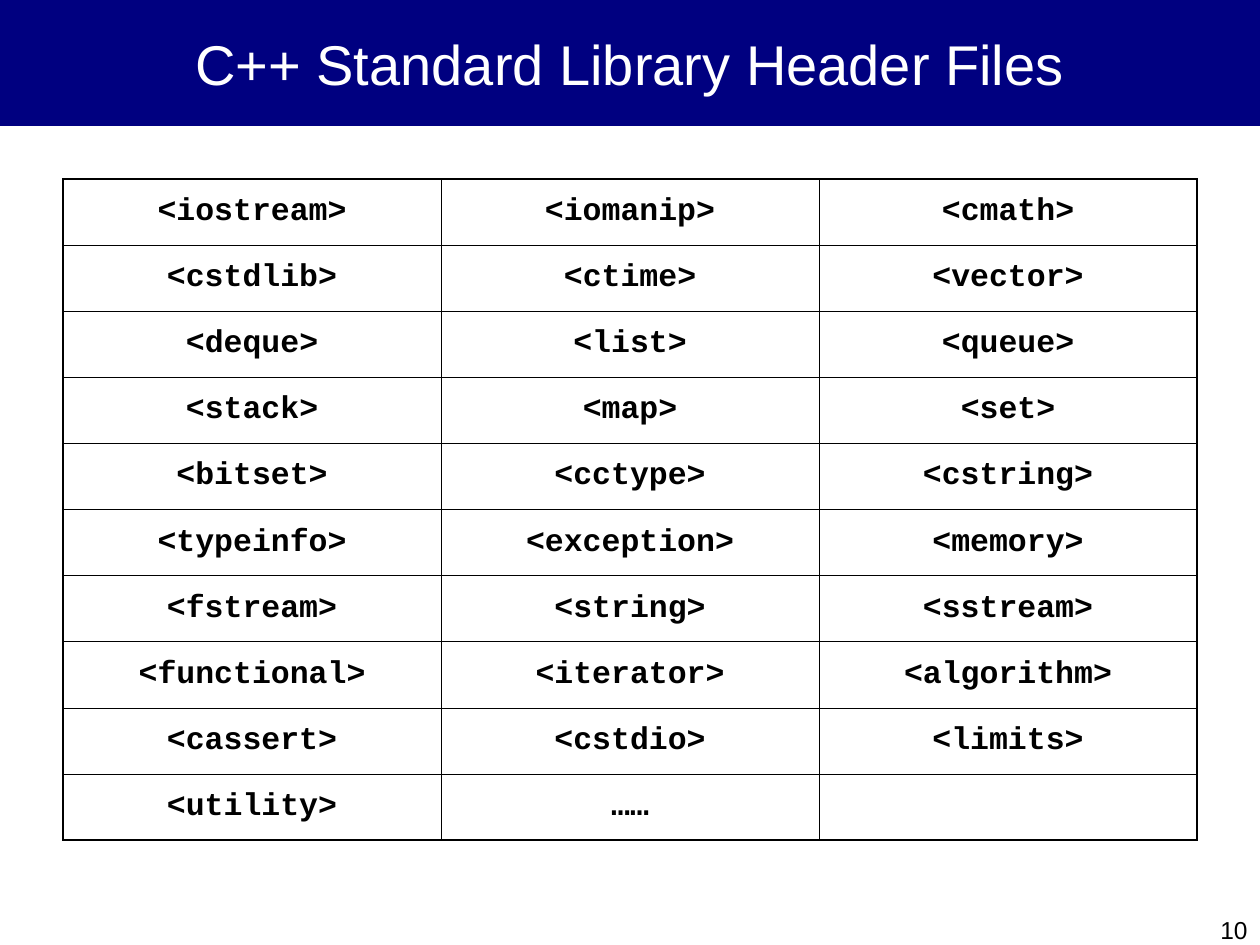
import pptx
import pptx.dml.color
import pptx.enum.text
import pptx.oxml
import pptx.oxml.ns
import pptx.util

Inches = pptx.util.Inches
Pt = pptx.util.Pt
ALIGN = pptx.enum.text.PP_ALIGN
MIDDLE = pptx.enum.text.MSO_ANCHOR.MIDDLE

BLACK, WHITE, NAVY = "000000", "FFFFFF", "000080"
THICK, THIN = 1.08, 0.45

HEADERS = [
    ["<iostream>", "<iomanip>", "<cmath>"],
    ["<cstdlib>", "<ctime>", "<vector>"],
    ["<deque>", "<list>", "<queue>"],
    ["<stack>", "<map>", "<set>"],
    ["<bitset>", "<cctype>", "<cstring>"],
    ["<typeinfo>", "<exception>", "<memory>"],
    ["<fstream>", "<string>", "<sstream>"],
    ["<functional>", "<iterator>", "<algorithm>"],
    ["<cassert>", "<cstdio>", "<limits>"],
    ["<utility>", "……", ""],
]


def color(code):
    return pptx.dml.color.RGBColor.from_string(code)


def assign(target, values):
    for name, value in values.items():
        setattr(target, name, value)


def write(frame, text, tint, align, **style):
    para = frame.paragraphs[0]
    para.alignment = align
    run = para.add_run()
    run.text = text
    assign(run.font, style)
    run.font.color.rgb = color(tint)


def add_title(slide, text):
    title = slide.shapes.title
    assign(title, {"left": 0, "top": 0, "width": Inches(10), "height": Inches(1)})
    title.fill.solid()
    title.fill.fore_color.rgb = color(NAVY)
    frame = title.text_frame
    assign(frame, {"vertical_anchor": MIDDLE, "word_wrap": True,
                   "auto_size": pptx.enum.text.MSO_AUTO_SIZE.NONE})
    write(frame, text, WHITE, ALIGN.CENTER, name="Arial", size=Pt(32))


def add_number(slide, text):
    box = slide.shapes.add_textbox(Inches(5), Inches(7.25), Inches(5), Inches(0.25))
    frame = box.text_frame
    assign(frame, {"vertical_anchor": MIDDLE, "word_wrap": True})
    write(frame, text, BLACK, ALIGN.RIGHT, name="Arial", size=Pt(14))


def add_border(cell, side, width):
    line = pptx.oxml.parse_xml(
        f'<a:ln{side} {pptx.oxml.ns.nsdecls("a")} w="{Pt(width)}">'
        f'<a:solidFill><a:srgbClr val="{BLACK}"/></a:solidFill></a:ln{side}>')
    cell._tc.get_or_add_tcPr().append(line)


def add_grid(slide, data):
    rows, cols = len(data), len(data[0])
    frame = slide.shapes.add_table(
        rows, cols, Inches(0.5), Inches(1.42), Inches(9), Inches(5.25))
    table = frame.table
    assign(table, {"first_row": False, "horz_banding": False})
    for row, names in enumerate(data):
        for col, name in enumerate(names):
            cell = table.cell(row, col)
            edges = {"L": col == 0, "R": col == cols - 1,
                     "T": row == 0, "B": row == rows - 1}
            for side, outer in edges.items():
                add_border(cell, side, THICK if outer else THIN)
            cell.fill.background()
            cell.vertical_anchor = MIDDLE
            if name:
                write(cell.text_frame, name, BLACK, ALIGN.CENTER,
                      name="Courier New", size=Pt(18), bold=True)


def main():
    deck = pptx.Presentation()
    assign(deck, {"slide_width": Inches(10), "slide_height": Inches(7.5)})
    slide = deck.slides.add_slide(deck.slide_layouts[5])
    add_number(slide, "10")
    add_title(slide, "C++ Standard Library Header Files")
    add_grid(slide, HEADERS)
    deck.save("out.pptx")


if __name__ == "__main__":
    main()
